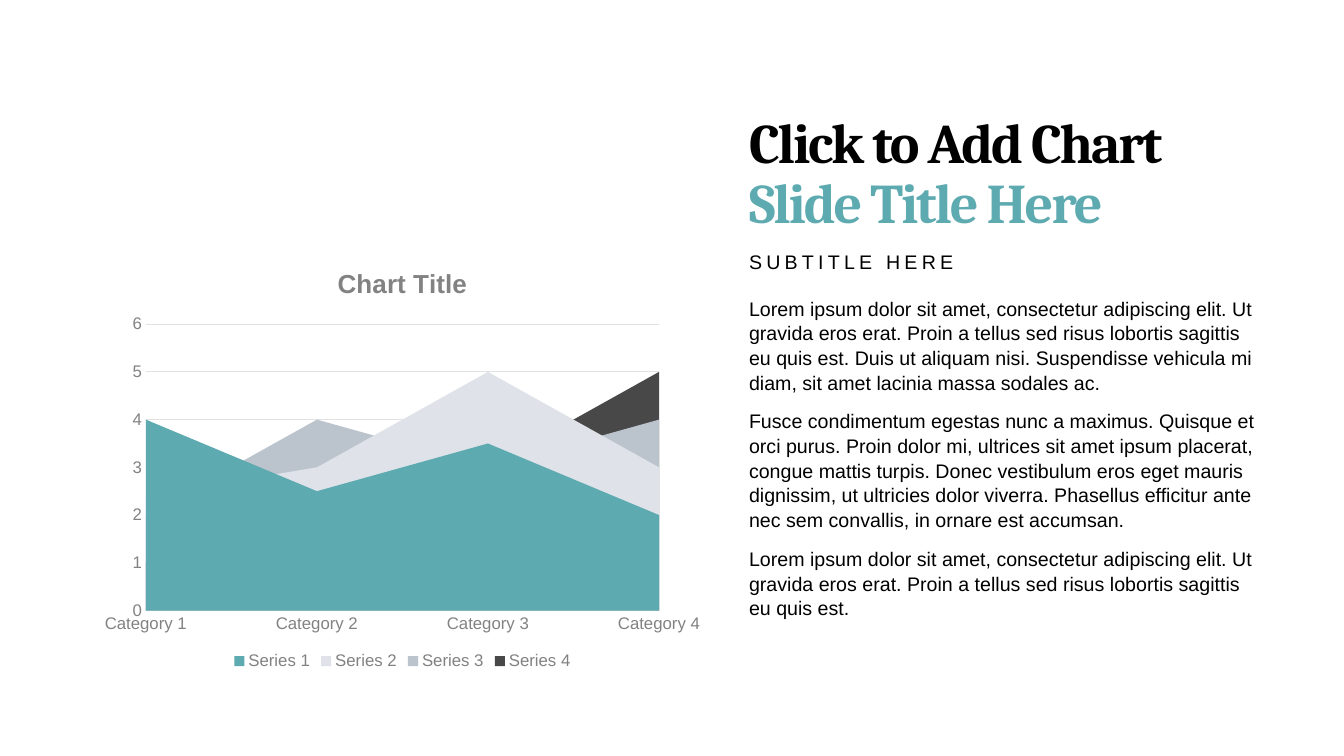
from pptx import Presentation
from pptx.chart.data import CategoryChartData
from pptx.dml.color import RGBColor
from pptx.enum import chart as ch, text as tx
from pptx.util import Pt

COLORS = {
    "black": "000000", "teal": "5DAAB0", "mist": "DFE3E9", "steel": "BBC3CD",
    "charcoal": "484848", "label": "828282", "grid": "E2E2E2", "chart text": "3F3F3F",
}
LEFT, WIDTH = 535, 375


def style(font, size, color, name="Arial", bold=False):
    font.size = Pt(size)
    font.name = name
    font.bold = bold
    font.color.rgb = RGBColor.from_string(COLORS[color])


def write(paragraph, wording, size, color, name="Arial", bold=False, tracking=0):
    run = paragraph.add_run()
    run.text = wording
    style(run.font, size, color, name, bold)
    if tracking:
        run._r.get_or_add_rPr().set("spc", str(int(tracking * 100)))


prs = Presentation()
prs.slide_width, prs.slide_height = Pt(960), Pt(540)
slide = prs.slides.add_slide(prs.slide_layouts[5])

heading = slide.shapes.title
subtitle = slide.shapes.add_textbox(0, 0, 0, 0)
body = slide.shapes.add_textbox(0, 0, 0, 0)
for block, top, height, anchor in [
    (heading, 66, 106, tx.MSO_ANCHOR.BOTTOM),
    (subtitle, 177, 25, tx.MSO_ANCHOR.TOP),
    (body, 207.5, 274, tx.MSO_ANCHOR.TOP),
]:
    block.left, block.top, block.width, block.height = Pt(LEFT), Pt(top), Pt(WIDTH), Pt(height)
    frame = block.text_frame
    frame.word_wrap = True
    frame.auto_size = tx.MSO_AUTO_SIZE.NONE
    frame.vertical_anchor = anchor
    frame.margin_left, frame.margin_right = 0, Pt(7.2)
    frame.margin_top = frame.margin_bottom = Pt(3.6)

headline = heading.text_frame.paragraphs[0]
headline.alignment = tx.PP_ALIGN.LEFT
headline.line_spacing = 0.9
for wording, color in [("Click to Add Chart ", "black"), ("Slide Title Here", "teal")]:
    write(headline, wording, 40, color, "Cambria", True, -1.5)

subline = subtitle.text_frame.paragraphs[0]
subline.line_spacing = 0.9
subline.space_before = Pt(10)
write(subline, "SUBTITLE HERE", 14, "black", tracking=3)

passages = [
    "Lorem ipsum dolor sit amet, consectetur adipiscing elit. Ut gravida eros erat. "
    "Proin a tellus sed risus lobortis sagittis eu quis est. Duis ut aliquam nisi. "
    "Suspendisse vehicula mi diam, sit amet lacinia massa sodales ac.",
    "Fusce condimentum egestas nunc a maximus. Quisque et orci purus. Proin dolor mi, "
    "ultrices sit amet ipsum placerat, congue mattis turpis. Donec vestibulum eros eget "
    "mauris dignissim, ut ultricies dolor viverra. Phasellus efficitur ante nec sem "
    "convallis, in ornare est accumsan.",
    "Lorem ipsum dolor sit amet, consectetur adipiscing elit. Ut gravida eros erat. "
    "Proin a tellus sed risus lobortis sagittis eu quis est.",
]
for index, passage in enumerate(passages):
    paragraph = body.text_frame.add_paragraph() if index else body.text_frame.paragraphs[0]
    paragraph.line_spacing = 1.05
    paragraph.space_before = Pt(10)
    write(paragraph, passage, 14, "black")

series_rows = [
    ("Series 1", (4, 2.5, 3.5, 2), "teal"),
    ("Series 2", (2.4, 3, 5, 3), "mist"),
    ("Series 3", (2, 4, 3, 4), "steel"),
    ("Series 4", (1, 2, 3, 5), "charcoal"),
]
figures = CategoryChartData()
figures.categories = [f"Category {n}" for n in range(1, 5)]
for name, values, color in series_rows:
    figures.add_series(name, values)
chart = slide.shapes.add_chart(
    ch.XL_CHART_TYPE.AREA, Pt(66), Pt(177), Pt(443), Pt(304.5), figures).chart
style(chart.font, 10, "chart text")

chart.has_title = True
write(chart.chart_title.text_frame.paragraphs[0], "Chart Title", 18.6, "label", bold=True)
chart.chart_title.include_in_layout = False

chart.has_legend = True
chart.legend.position = ch.XL_LEGEND_POSITION.BOTTOM
chart.legend.include_in_layout = False
style(chart.legend.font, 12, "label")

plot = chart.plots[0]
plot.vary_by_categories = False
for series, (name, values, color) in zip(plot.series, series_rows):
    series.format.fill.solid()
    series.format.fill.fore_color.rgb = RGBColor.from_string(COLORS[color])
    series.format.line.fill.background()

categories, scale = chart.category_axis, chart.value_axis
for axis in (categories, scale):
    axis.major_tick_mark = axis.minor_tick_mark = ch.XL_TICK_MARK.NONE
    style(axis.tick_labels.font, 12, "label")
categories.has_major_gridlines = False
scale.has_major_gridlines = True
scale.minimum_scale, scale.maximum_scale, scale.major_unit = 0, 6, 1
scale.format.line.fill.background()
for rule in (categories.format.line, scale.major_gridlines.format.line):
    rule.width = Pt(0.75)
    rule.color.rgb = RGBColor.from_string(COLORS["grid"])
for crossing in scale._element.xpath("c:crossBetween"):
    crossing.set("val", "midCat")

prs.save("out.pptx")
